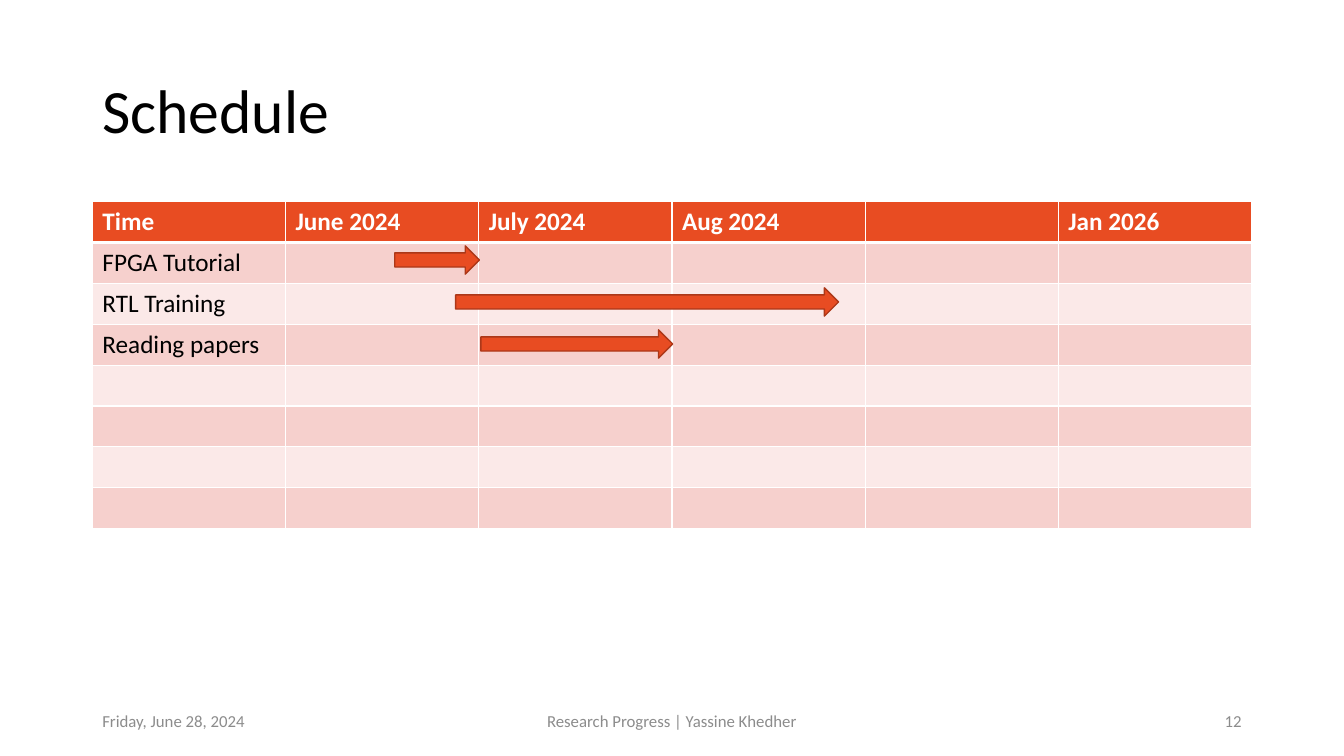
from lxml.etree import SubElement
from pptx import Presentation
from pptx.dml.color import RGBColor
from pptx.enum.shapes import MSO_SHAPE as SHAPE
from pptx.enum.text import MSO_ANCHOR as ANCHOR, PP_ALIGN as ALIGN
from pptx.oxml.ns import qn
from pptx.util import Pt


def rgb(value):
    return RGBColor.from_string(value)


class ScheduleSlide:
    """Draws the schedule elements on one slide in a shared style."""

    FONT = "Calibri"
    ACCENT, EDGE = "E84C22", "AC3819"
    BANDS = ("FBE9E8", "F6D0CD")
    BLACK, WHITE, GREY = "000000", "FFFFFF", "8C8C8C"

    def __init__(self, prs):
        self.s = prs.slides.add_slide(prs.slide_layouts[6])

    def format(self, p, size, color, bold=False):
        for r in p.runs:
            r.font.name = self.FONT
            r.font.size = Pt(size)
            r.font.bold = bold
            r.font.color.rgb = rgb(color)

    def text(self, text, x, y, w, h, size, color, align=ALIGN.LEFT, spacing=1.0):
        tf = self.s.shapes.add_textbox(Pt(x), Pt(y), Pt(w), Pt(h)).text_frame
        tf.word_wrap = True
        tf.vertical_anchor = ANCHOR.MIDDLE
        tf.text = text
        p = tf.paragraphs[0]
        p.alignment = align
        p.line_spacing = spacing
        self.format(p, size, color)

    def border(self, cell, widths):
        tc_pr = cell._tc.get_or_add_tcPr()
        for side, width in zip("LRTB", widths):
            ln = SubElement(tc_pr, qn(f"a:ln{side}"), w=str(Pt(width)))
            fill = SubElement(ln, qn("a:solidFill"))
            SubElement(fill, qn("a:srgbClr"), val=self.WHITE)

    def table(self, rows, x, y, col_w, row_h):
        n_rows, n_cols = len(rows), len(rows[0])
        frame = self.s.shapes.add_table(
            n_rows, n_cols, Pt(x), Pt(y), Pt(col_w * n_cols), Pt(row_h * n_rows))
        table = frame.table
        for column in table.columns:
            column.width = Pt(col_w)
        for i, texts in enumerate(rows):
            table.rows[i].height = Pt(row_h)
            header = i == 0
            for j, text in enumerate(texts):
                cell = table.cell(i, j)
                self.border(cell, (1, 1, 3 if i == 1 else 1, 3 if header else 1))
                cell.fill.solid()
                cell.fill.fore_color.rgb = rgb(self.ACCENT if header else self.BANDS[i % 2])
                cell.text_frame.text = text
                self.format(cell.text_frame.paragraphs[0], 18,
                            self.WHITE if header else self.BLACK, header)

    def arrow(self, x, y, w, h):
        sp = self.s.shapes.add_shape(SHAPE.RIGHT_ARROW, Pt(x), Pt(y), Pt(w), Pt(h))
        sp.shadow.inherit = False
        sp.fill.solid()
        sp.fill.fore_color.rgb = rgb(self.ACCENT)
        sp.line.color.rgb = rgb(self.EDGE)
        sp.line.width = Pt(1)


def main():
    prs = Presentation()
    prs.slide_width, prs.slide_height = Pt(960), Pt(540)
    slide = ScheduleSlide(prs)

    months = ["Time", "June 2024", "July 2024", "Aug 2024", "", "Jan 2026"]
    tasks = ["FPGA Tutorial", "RTL Training", "Reading papers", "", "", "", ""]
    rows = [months] + [[task] + [""] * 5 for task in tasks]
    slide.table(rows, 66, 144, 138, 29.2)

    slide.text("Schedule", 66, 28.75, 828, 104.4, 44, slide.BLACK, spacing=0.9)
    footers = [
        ("Friday, June 28, 2024", 66, 216, ALIGN.LEFT),
        ("Research Progress | Yassine Khedher", 318, 324, ALIGN.CENTER),
        ("12", 678, 216, ALIGN.RIGHT),
    ]
    for text, x, w, align in footers:
        slide.text(text, x, 500.5, w, 28.75, 12, slide.GREY, align)

    for i, (start, length) in enumerate([(282, 60.5), (325.5, 273.5), (343.5, 137)]):
        slide.arrow(start, 175.6 + 30 * i, length, 20.2)

    prs.save("out.pptx")


if __name__ == "__main__":
    main()
